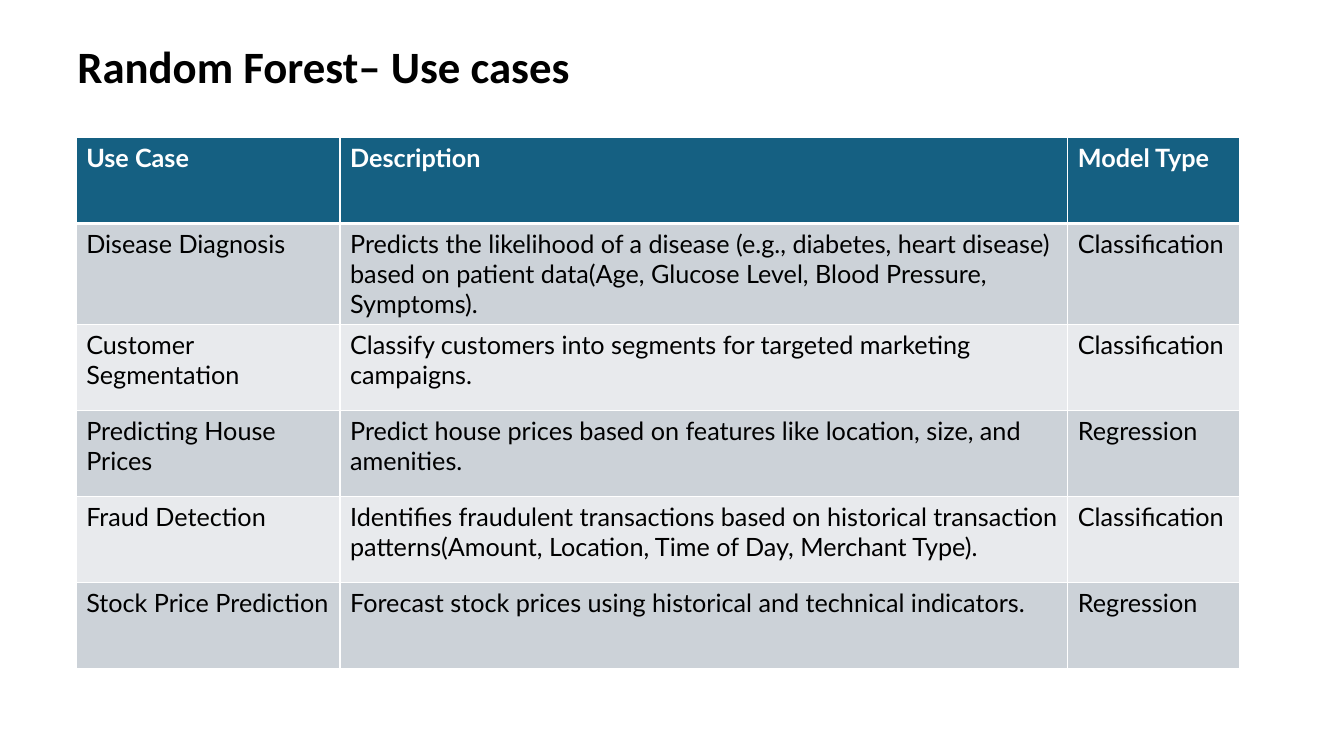
from lxml import etree
from pptx import Presentation
from pptx.dml.color import RGBColor as RGB
from pptx.enum.text import MSO_ANCHOR as Anchor
from pptx.oxml.ns import qn
from pptx.util import Cm, Pt


def style(par, font, size, color, bold):
    for run in par.runs:
        run.font.name = font
        run.font.size = Pt(size)
        run.font.bold = bold
        run.font.color.rgb = RGB.from_string(color)


def edge(cell, sides):
    # Cell borders must come before the fill
    props = cell._tc.get_or_add_tcPr()
    for spot, (side, width) in enumerate(sides.items()):
        line = etree.Element(qn("a:ln" + side), w=str(Pt(width)))
        fill = etree.SubElement(line, qn("a:solidFill"))
        etree.SubElement(fill, qn("a:srgbClr"), val="FFFFFF")
        props.insert(spot, line)


deck = Presentation()
deck.slide_width, deck.slide_height = Cm(33.87), Cm(19.05)
slide = deck.slides.add_slide(deck.slide_layouts[6])

# Title
title = slide.shapes.add_textbox(Cm(1.7), Cm(0.84), Cm(30.48), Cm(3.05))
frame = title.text_frame
frame.word_wrap = True
frame.vertical_anchor = Anchor.TOP
frame.text = "Random Forest– Use cases"
style(frame.paragraphs[0], "Calibri", 32, "000000", True)

# Table
cases = [
    ("Use Case", "Description", "Model Type"),
    ("Disease Diagnosis",
     "Predicts the likelihood of a disease (e.g., diabetes, heart disease) based on "
     "patient data(Age, Glucose Level, Blood Pressure, Symptoms).",
     "Classification"),
    ("Customer Segmentation",
     "Classify customers into segments for targeted marketing campaigns.",
     "Classification"),
    ("Predicting House Prices",
     "Predict house prices based on features like location, size, and amenities.",
     "Regression"),
    ("Fraud Detection",
     "Identifies fraudulent transactions based on historical transaction "
     "patterns(Amount, Location, Time of Day, Merchant Type).",
     "Classification"),
    ("Stock Price Prediction",
     "Forecast stock prices using historical and technical indicators.",
     "Regression"),
]
widths = [6.65, 18.34, 4.34]
high = 2.17
table = slide.shapes.add_table(len(cases), len(widths), Cm(1.92), Cm(3.46),
                               Cm(sum(widths)), Cm(high * len(cases))).table
for col, width in zip(table.columns, widths):
    col.width = Cm(width)

for r, case in enumerate(cases):
    table.rows[r].height = Cm(high)
    head = r == 0
    back = "156082" if head else ("E8EAED", "CCD2D8")[r % 2]
    for c, text in enumerate(case):
        cell = table.cell(r, c)
        cell.text = text
        style(cell.text_frame.paragraphs[0], "Lato", 18,
              "FFFFFF" if head else "000000", head)
        cell.fill.solid()
        cell.fill.fore_color.rgb = RGB.from_string(back)
        edge(cell, {"L": 1, "R": 1, "T": 3 if r == 1 else 1, "B": 3 if head else 1})

deck.save("out.pptx")
